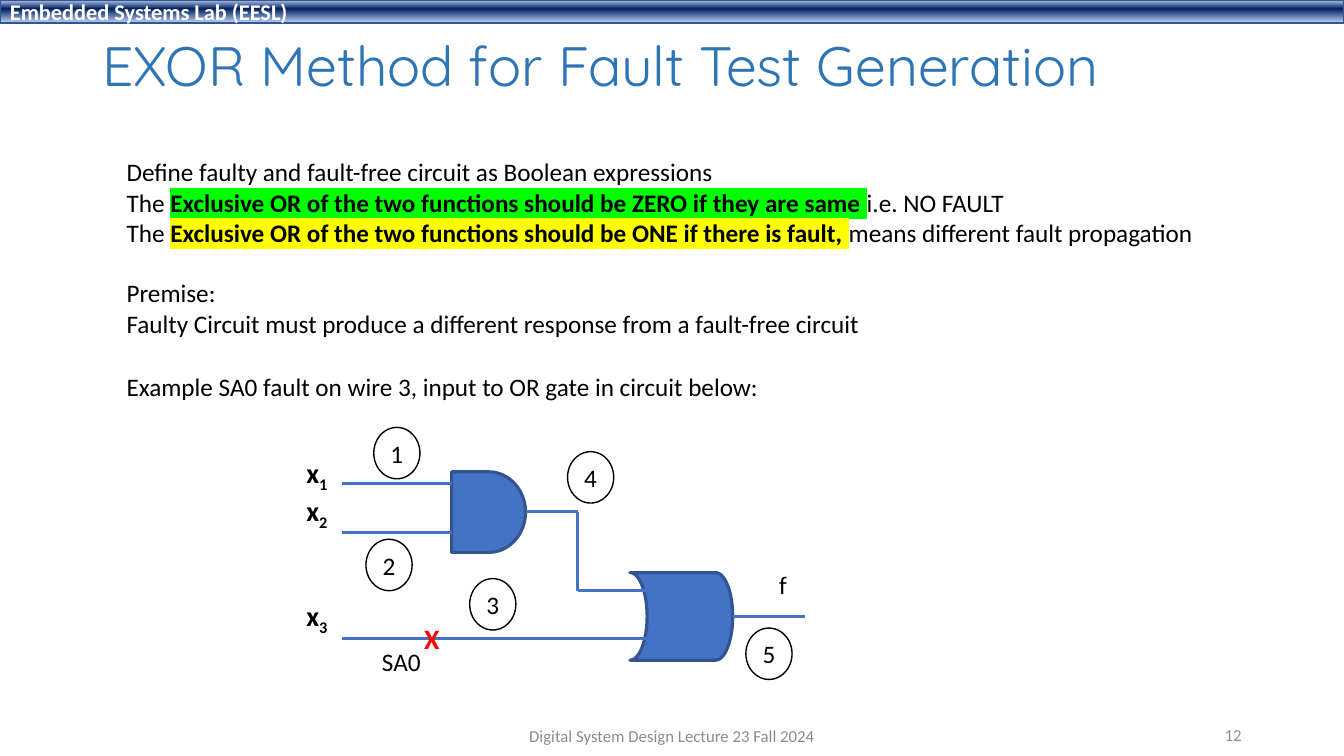
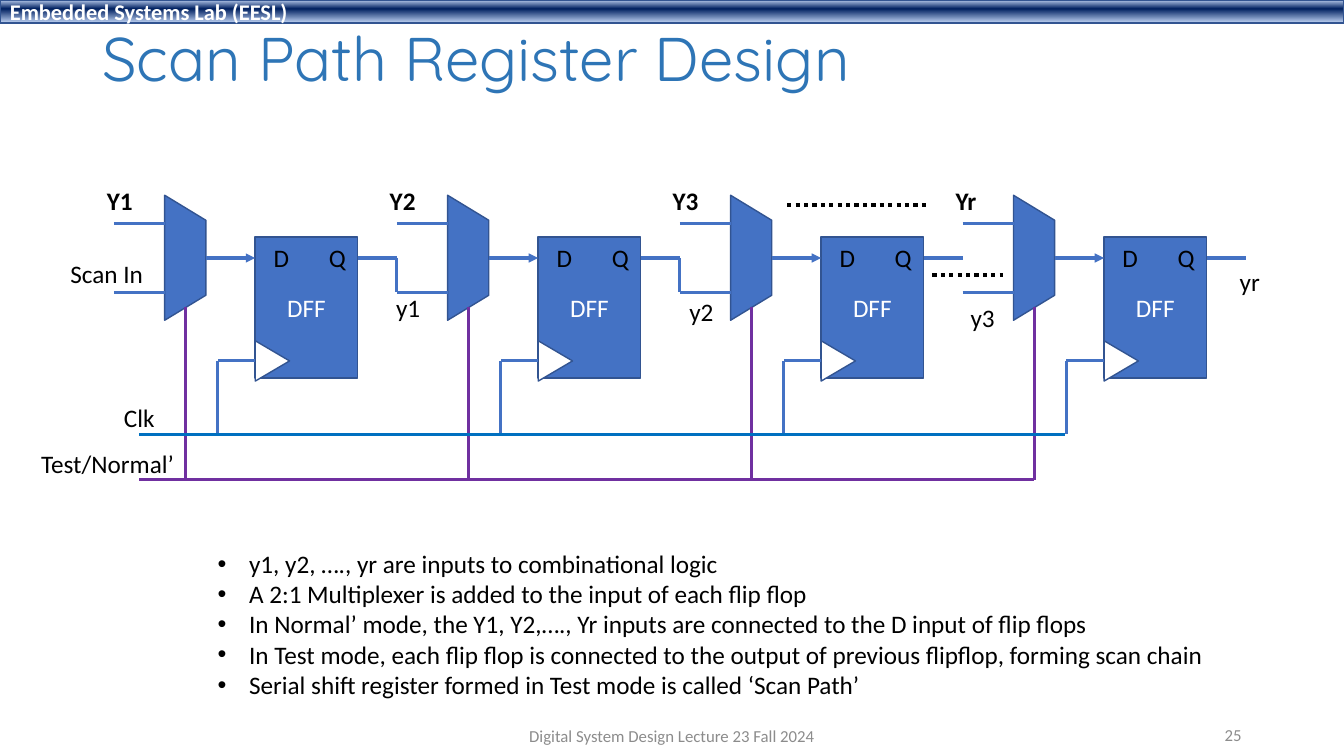
from copy import deepcopy

from lxml import etree
from pptx import Presentation
from pptx.dml.color import RGBColor
from pptx.enum.dml import MSO_LINE as DASH
from pptx.enum.shapes import MSO_CONNECTOR as CONN, MSO_SHAPE as SHAPE
from pptx.enum.text import MSO_ANCHOR as ANCHOR, PP_ALIGN as ALIGN
from pptx.oxml import parse_xml
from pptx.oxml.ns import qn
from pptx.util import Pt

NS = 'xmlns:a="http://schemas.openxmlformats.org/drawingml/2006/main"'
WIDTH, HEIGHT = 960, 540
BLACK, WHITE, RED = "000000", "FFFFFF", "FF0000"
BLUE, OUTLINE, TITLE_BLUE = "4472C4", "325491", "2E75B6"
CLOCK_BLUE, PURPLE, GREY = "0070C0", "7030A0", "8C8C8C"
GREEN, YELLOW = "00FF00", "FFFF00"
BODY_FONT, TITLE_FONT = "Calibri", "Quicksand"
BAND_STOPS = ((0.02, "ABC0E4"), (0.38, "002060"), (0.93, "ACC1E5"))


def rgb(color):
    return RGBColor.from_string(color)


def fill_downward(fill, stops):
    """Apply a top-to-bottom gradient of three (position, colour) stops."""
    fill.gradient()
    fill.gradient_angle = 270
    first = fill.gradient_stops[0]._gs
    first.addnext(deepcopy(first))
    for stop, (position, color) in zip(fill.gradient_stops, stops):
        stop.position = position
        stop.color.rgb = rgb(color)


def add_run(p, text, size=18, color=BLACK, bold=False, font=BODY_FONT,
            highlight=None, subscript=False):
    r = p.add_run()
    r.text = text
    r.font.size, r.font.bold, r.font.name = Pt(size), bold, font
    r.font.color.rgb = rgb(color)
    props = r.font._element
    if highlight:
        mark = parse_xml(f'<a:highlight {NS}><a:srgbClr val="{highlight}"/></a:highlight>')
        props.find(qn("a:latin")).addprevious(mark)
    if subscript:
        props.set("baseline", "-25000")


def write(tf, paragraphs, align=ALIGN.LEFT, anchor=ANCHOR.TOP, spacing=None,
          before=None, bullet=0, **style):
    """Fill a frame; a paragraph is a string or a list of (text, format) runs.

    before maps a paragraph's index to its space before; bullet is the indent.
    """
    tf.word_wrap, tf.vertical_anchor = True, anchor
    if isinstance(paragraphs, str):
        paragraphs = [paragraphs]
    for i, content in enumerate(paragraphs):
        p = tf.add_paragraph() if i else tf.paragraphs[0]
        if bullet:
            props = p._p.get_or_add_pPr()
            props.set("marL", str(Pt(bullet)))
            props.set("indent", str(-Pt(bullet)))
            etree.SubElement(props, qn("a:buFont")).set("typeface", "Arial")
            etree.SubElement(props, qn("a:buChar")).set("char", "•")
        p.alignment = align
        if spacing:
            p.line_spacing = spacing
        if before and i in before:
            p.space_before = Pt(before[i])
        runs = [(content, {})] if isinstance(content, str) else content
        for text, extra in runs:
            add_run(p, text, **{**style, **extra})


class Deck:
    """Presentation style together with the slide being drawn."""

    def __init__(self):
        self.prs = Presentation()
        self.prs.slide_width, self.prs.slide_height = Pt(WIDTH), Pt(HEIGHT)
        self.s = None

    def slide(self, title, number, top, height, size):
        self.s = self.prs.slides.add_slide(self.prs.slide_layouts[6])
        band = self.shape(SHAPE.RECTANGLE, 0, 0, WIDTH, 16.6)
        fill_downward(band.fill, BAND_STOPS)
        write(band.text_frame, "Embedded Systems Lab (EESL)", size=16,
              color=WHITE, bold=True, anchor=ANCHOR.MIDDLE)
        self.text(title, 66, top, 828, height, size=size, color=TITLE_BLUE,
                  font=TITLE_FONT, anchor=ANCHOR.MIDDLE, spacing=0.9)
        footer = dict(size=12, color=GREY, anchor=ANCHOR.MIDDLE)
        self.text("Digital System Design Lecture 23 Fall 2024", 318, 511, 324,
                  29, align=ALIGN.CENTER, **footer)
        self.text(number, 678, 510.5, 216, 29, align=ALIGN.RIGHT, **footer)

    def text(self, paragraphs, x, y, w=150, h=29, **style):
        box = self.s.shapes.add_textbox(Pt(x), Pt(y), Pt(w), Pt(h))
        write(box.text_frame, paragraphs, **style)

    def shape(self, kind, x, y, w, h, fill=BLUE, line=OUTLINE, weight=1, rotation=0):
        sp = self.s.shapes.add_shape(kind, Pt(x), Pt(y), Pt(w), Pt(h))
        sp.shadow.inherit = False
        sp.rotation = rotation
        if fill:
            sp.fill.solid()
            sp.fill.fore_color.rgb = rgb(fill)
        else:
            sp.fill.background()
        sp.line.color.rgb, sp.line.width = rgb(line), Pt(weight)
        return sp

    def wire(self, *points, color=BLUE, weight=2.25, dash=None, arrow=False):
        """Join the points in turn with straight connectors."""
        for (x1, y1), (x2, y2) in zip(points, points[1:]):
            c = self.s.shapes.add_connector(CONN.STRAIGHT, Pt(x1), Pt(y1), Pt(x2), Pt(y2))
            c.line.color.rgb, c.line.width = rgb(color), Pt(weight)
            if dash:
                c.line.dash_style = dash
            if arrow:
                etree.SubElement(c.line._get_or_add_ln(),
                                 qn("a:tailEnd")).set("type", "triangle")
            etree.SubElement(c._element.spPr, qn("a:effectLst"))

    def wire_number(self, number, x, y):
        sp = self.shape(SHAPE.OVAL, x, y, 33, 36.7, fill=None, line=BLACK)
        write(sp.text_frame, number, align=ALIGN.CENTER, anchor=ANCHOR.MIDDLE)

    def scan_stage(self, dx):
        """Draw a multiplexer feeding a flip flop, shifted right by dx."""
        dff = self.shape(SHAPE.RECTANGLE, 182.3 + dx, 169.3, 73.3, 100.8)
        write(dff.text_frame, "DFF", color=WHITE, align=ALIGN.CENTER,
              anchor=ANCHOR.MIDDLE)
        self.text("D", 188.4 + dx, 169.3, 35)
        self.text("Q", 227.8 + dx, 169.3, 35)
        self.shape(SHAPE.FLOWCHART_MANUAL_OPERATION, 87.7 + dx, 169.4, 89.3, 29.4,
                   rotation=270)
        self.wire((147 + dx, 184.3), (182.3 + dx, 184.3), arrow=True)
        for y in (208.8, 159.8):
            self.wire((81.4 + dx, y), (118 + dx, y))
        self.shape(SHAPE.ISOSCELES_TRIANGLE, 180.2 + dx, 245.6, 28.8, 24.5,
                   fill=WHITE, rotation=90)
        self.wire((182.3 + dx, 257.8), (155.5 + dx, 257.8), (155.5 + dx, CLOCK_Y))
        self.wire((132.4 + dx, 219.6), (132.4 + dx, TEST_Y), color=PURPLE)
        self.wire((255.6 + dx, 184.3), (283.5 + dx, 184.3))


PITCH, CLOCK_Y, TEST_Y = 202.1, 310.3, 342.7


def exor_slide(deck):
    deck.slide("EXOR Method for Fault Test Generation", "12", 21, 55.4, 39.6)
    deck.text([
        "Define faulty and fault-free circuit as Boolean expressions",
        [("The ", {}),
         ("Exclusive OR of the two functions should be ZERO if they are same ",
          dict(bold=True, highlight=GREEN)),
         ("i.e. NO FAULT", {})],
        [("The ", {}),
         ("Exclusive OR of the two functions should be ONE if there is fault, ",
          dict(bold=True, highlight=YELLOW)),
         ("means different fault propagation", {})],
        "Premise:",
        "Faulty Circuit must produce a different response from a fault-free circuit",
    ], 83.3, 108.4, 830, 138, before={3: 21.6})
    deck.text("Example SA0 fault on wire 3, input to OR gate in circuit below:",
              83.3, 261.4, 600)

    deck.shape(SHAPE.FLOWCHART_DELAY, 322.6, 337, 52.8, 57.6, weight=2.25)
    or_gate = deck.shape(SHAPE.FLOWCHART_STORED_DATA, 450, 409, 73.4, 62.6, weight=2.25)
    or_gate._element.spPr.find(qn("a:xfrm")).set("flipH", "1")
    for y in (345.6, 380.2):
        deck.wire((244.6, y), (322.6, y))
    deck.wire((244.6, 455.8), (464.4, 455.8))
    deck.wire((375.6, 365.5), (412.6, 365.5), (412.6, 421.9), (464.4, 421.9))
    deck.wire((523.4, 440.6), (575.3, 440.6))

    inputs = [[("x", {}), (n, dict(subscript=True))] for n in "123"]
    deck.text(inputs, 211.7, 321.8, 60, 144, size=20, bold=True, before={2: 47.4})
    corners = [(267, 305.3), (261.4, 385.2), (335.5, 413.3), (405.4, 322.6), (532.8, 448.6)]
    for number, (x, y) in enumerate(corners, 1):
        deck.wire_number(str(number), x, y)
    deck.text("X", 295.9, 440.6, 40, size=20, color=RED, bold=True)
    deck.text("SA0", 265.7, 457.9, 60)
    deck.text("f", 549.4, 403.2, 40)


def scan_path_slide(deck):
    deck.slide("Scan Path Register Design", "25", 10.8, 66.2, 44)
    for i, name in enumerate(("Y1", "Y2", "Y3", "Yr")):
        deck.scan_stage(i * PITCH)
        deck.text(name, 69.2 + i * PITCH, 128.9, 50, bold=True)
    for i in (1, 2):
        x = 81.4 + i * PITCH
        deck.wire((x, 184.3), (x, 208.8))
    deck.wire((99.4, TEST_Y), (738.7, TEST_Y), color=PURPLE)
    deck.wire((99.4, CLOCK_Y), (761, CLOCK_Y), color=CLOCK_BLUE)
    for x1, x2, y in ((666, 716.4, 196.6), (562.3, 661.7, 146.2)):
        deck.wire((x1, y), (x2, y), color=BLACK, weight=3, dash=DASH.ROUND_DOT)
    for name, x, y in (("Clk", 81.4, 283.7), ("Test/Normal’", 22.3, 316.8),
                       ("Scan In", 43.2, 180.7), ("y1", 275.8, 205.2),
                       ("y2", 485.3, 208.1), ("y3", 686.2, 212.4),
                       ("yr", 878.4, 186.5)):
        deck.text(name, x, y, 80 if len(name) < 8 else 130)
    deck.text([
        "y1, y2, …., yr are inputs to combinational logic",
        "A 2:1 Multiplexer is added to the input of each flip flop",
        "In Normal’ mode, the Y1, Y2,…., Yr inputs are connected to the D input of flip flops",
        "In Test mode, each flip flop is connected to the output of previous flipflop, "
        "forming scan chain",
        "Serial shift register formed in Test mode is called ‘Scan Path’",
    ], 148.3, 388.1, 760, 116.6, bullet=22.5)


def main():
    deck = Deck()
    exor_slide(deck)
    scan_path_slide(deck)
    deck.prs.save("out.pptx")


if __name__ == "__main__":
    main()
